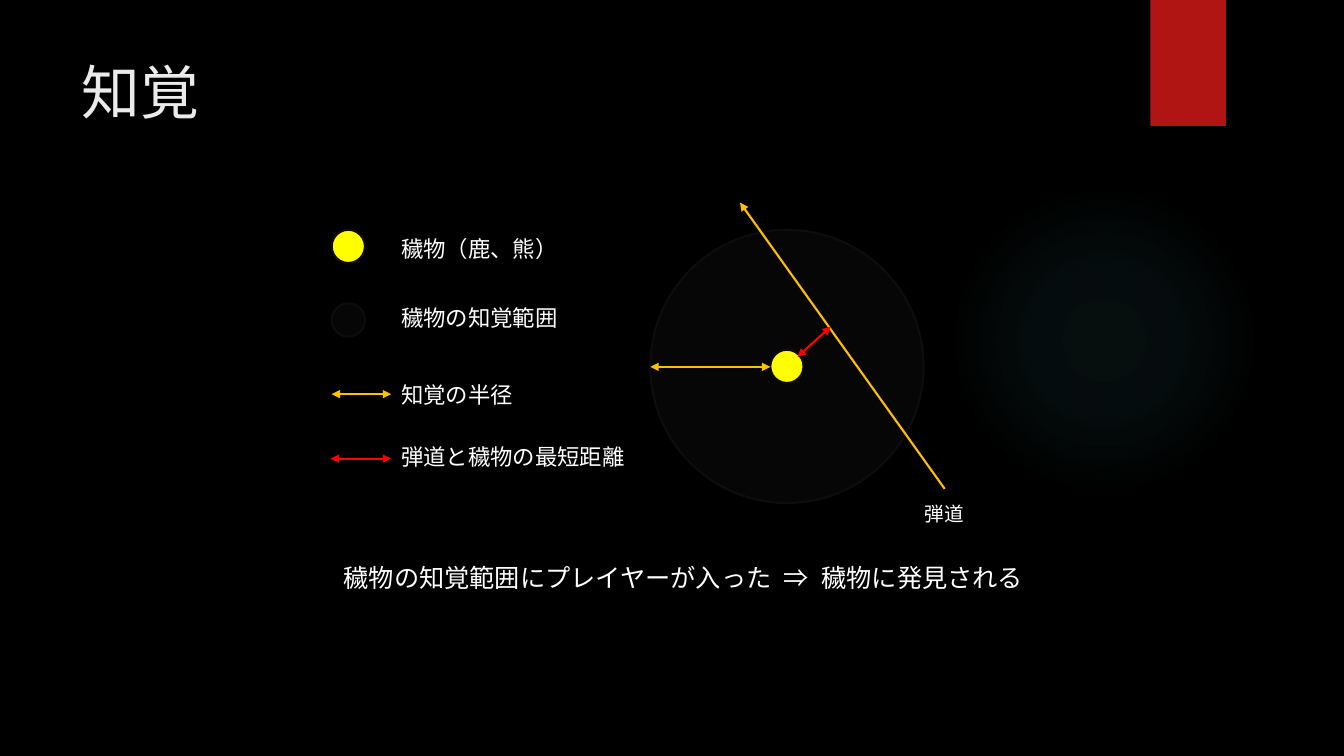
from dataclasses import dataclass

from lxml.etree import SubElement
from pptx import Presentation
from pptx.dml.color import RGBColor
from pptx.enum.shapes import MSO_CONNECTOR, MSO_SHAPE
from pptx.enum.text import MSO_ANCHOR, MSO_AUTO_SIZE
from pptx.oxml.ns import qn
from pptx.util import Inches, Pt

FONT = "League Spartan"
WHITE, BLACK, RED, GOLD, YELLOW, DARK = (
    "FFFFFF", "000000", "FF0000", "FFC000", "FFFF00", "0D0D0D")
DOT = 0.33


@dataclass
class Label:
    text: str
    left: float
    top: float
    width: float
    height: float = 0.37
    size: int = 16
    color: str = WHITE
    wrap: bool = False


@dataclass
class Circle:
    left: float
    top: float
    size: float
    color: str
    opacity: int = 100


@dataclass
class Arrow:
    start: tuple[float, float]
    end: tuple[float, float]
    color: str
    two_way: bool = True


LABELS = [
    Label("知覚", 0.71, 0.5, 10.29, 1.53, 42, "EBEBEB", True),
    Label("穢物(鹿、熊)".replace("(", "（").replace(")", "）"), 3.88, 2.28, 1.77),
    Label("穢物の知覚範囲", 3.88, 2.97, 1.77),
    Label("知覚の半径", 3.88, 3.73, 1.32),
    Label("弾道と穢物の最短距離", 3.88, 4.35, 2.45),
    Label("弾道", 9.07, 4.93, 0.59, 0.34, 14),
    Label("穢物の知覚範囲にプレイヤーが入った  ⇒  穢物に発見される",
          3.31, 5.53, 7.05, 0.4, 18),
]
CIRCLES = [
    Circle(3.29, 2.28, DOT, YELLOW),
    Circle(3.29, 3.01, DOT, DARK, 50),
    Circle(6.45, 2.28, 2.71, DARK, 50),
    Circle(7.64, 3.47, DOT, YELLOW),
]
ARROWS = [
    Arrow((6.45, 3.64), (7.64, 3.64), GOLD),
    Arrow((3.29, 3.91), (3.88, 3.91), GOLD),
    Arrow((9.37, 4.85), (7.34, 2.01), GOLD, two_way=False),
    Arrow((7.91, 3.54), (8.24, 3.24), RED),
    Arrow((3.28, 4.55), (3.88, 4.55), RED),
]


def rgb(color: str) -> RGBColor:
    return RGBColor.from_string(color)


def add_alpha(color_element, percent: int) -> None:
    SubElement(color_element, qn("a:alpha"), val=str(percent * 1000))


def add_plain_shape(s, kind, left: float, top: float, width: float, height: float):
    sp = s.shapes.add_shape(
        kind, Inches(left), Inches(top), Inches(width), Inches(height))
    sp.shadow.inherit = False
    sp.line.fill.background()
    return sp


def add_glow(s) -> None:
    sp = add_plain_shape(s, MSO_SHAPE.OVAL, 9.41, 1.83, 3.08, 3.08)
    sp.fill.gradient()
    grad = sp._element.spPr.find(qn("a:gradFill"))
    for child in list(grad):
        grad.remove(child)
    stops = SubElement(grad, qn("a:gsLst"))
    for position, opacity in ((0, 7), (36, 6), (69, 0)):
        stop = SubElement(stops, qn("a:gs"), pos=str(position * 1000))
        add_alpha(SubElement(stop, qn("a:srgbClr"), val="50B9C1"), opacity)
    shade = SubElement(grad, qn("a:path"), {"path": "circle"})
    SubElement(shade, qn("a:fillToRect"),
               {side: "50000" for side in ("l", "t", "r", "b")})


def add_ribbon(s) -> None:
    sp = add_plain_shape(s, MSO_SHAPE.RECTANGLE, 11.41, 0, 0.75, 1.25)
    sp.fill.solid()
    sp.fill.fore_color.rgb = rgb("B01513")


def add_circle(s, c: Circle) -> None:
    sp = add_plain_shape(s, MSO_SHAPE.OVAL, c.left, c.top, c.size, c.size)
    sp.fill.solid()
    sp.fill.fore_color.rgb = rgb(c.color)
    if c.opacity < 100:
        add_alpha(sp._element.spPr.find(qn("a:solidFill"))[0], c.opacity)
    sp.line.color.rgb = rgb(DARK)
    sp.line.width = Pt(1.5)


def add_arrow(s, a: Arrow) -> None:
    points = [Inches(v) for v in (*a.start, *a.end)]
    sp = s.shapes.add_connector(MSO_CONNECTOR.STRAIGHT, *points)
    sp.line.color.rgb = rgb(a.color)
    sp.line.width = Pt(1.5)
    ln = sp.line._get_or_add_ln()
    for tag in ("a:headEnd", "a:tailEnd") if a.two_way else ("a:tailEnd",):
        SubElement(ln, qn(tag), type="triangle")
    SubElement(sp._element.spPr, qn("a:effectLst"))


def add_label(s, label: Label) -> None:
    sp = s.shapes.add_textbox(Inches(label.left), Inches(label.top),
                              Inches(label.width), Inches(label.height))
    tf = sp.text_frame
    tf.word_wrap = label.wrap
    tf.auto_size = MSO_AUTO_SIZE.NONE if label.wrap else MSO_AUTO_SIZE.SHAPE_TO_FIT_TEXT
    tf.vertical_anchor = MSO_ANCHOR.TOP
    r = tf.paragraphs[0].add_run()
    r.text = label.text
    r.font.size = Pt(label.size)
    r.font.color.rgb = rgb(label.color)
    r.font.name = FONT
    SubElement(r.font._element, qn("a:ea"), typeface=FONT)


def main() -> None:
    prs = Presentation()
    prs.slide_width, prs.slide_height = Inches(13.33), Inches(7.5)
    s = prs.slides.add_slide(prs.slide_layouts[6])

    # Backdrop
    s.background.fill.solid()
    s.background.fill.fore_color.rgb = rgb(BLACK)
    add_glow(s)
    add_ribbon(s)

    # Legend and perception diagram
    for circle in CIRCLES:
        add_circle(s, circle)
    for arrow in ARROWS:
        add_arrow(s, arrow)

    # Title, legend texts and conclusion
    for label in LABELS:
        add_label(s, label)

    prs.save("out.pptx")


if __name__ == "__main__":
    main()
